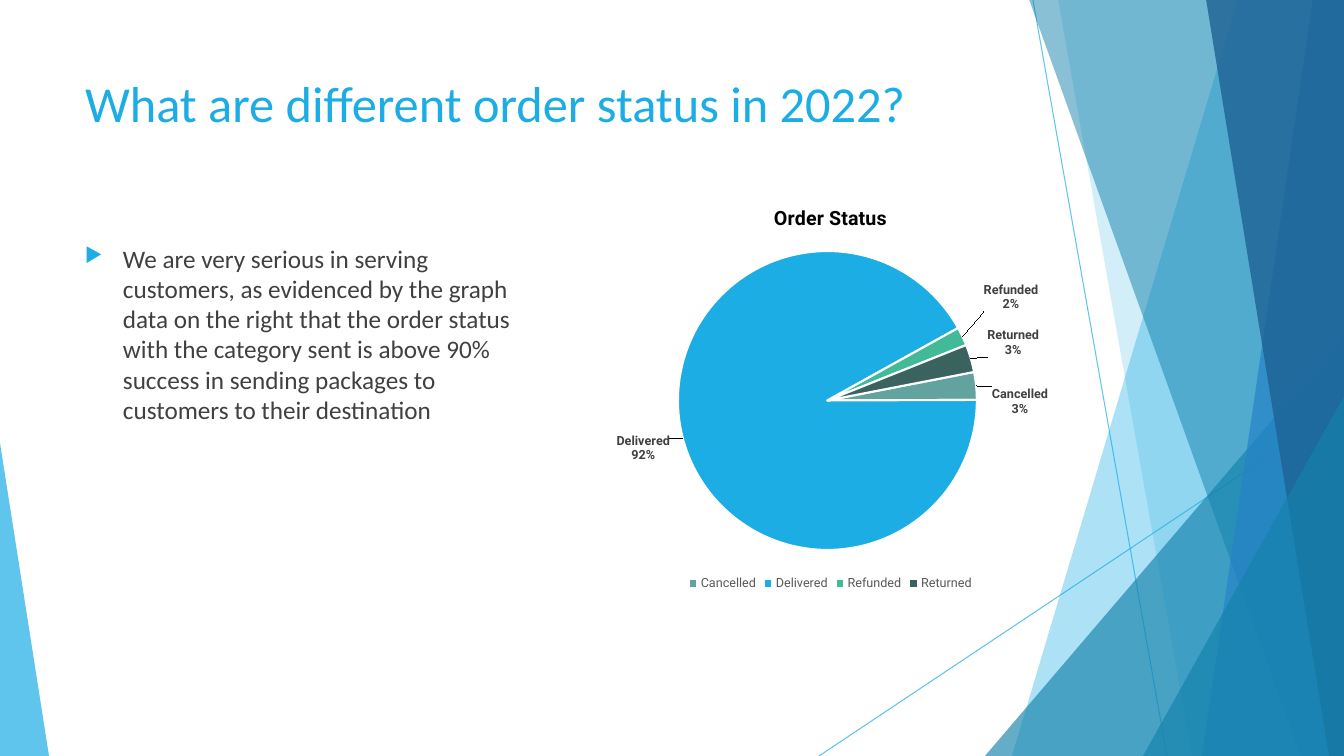
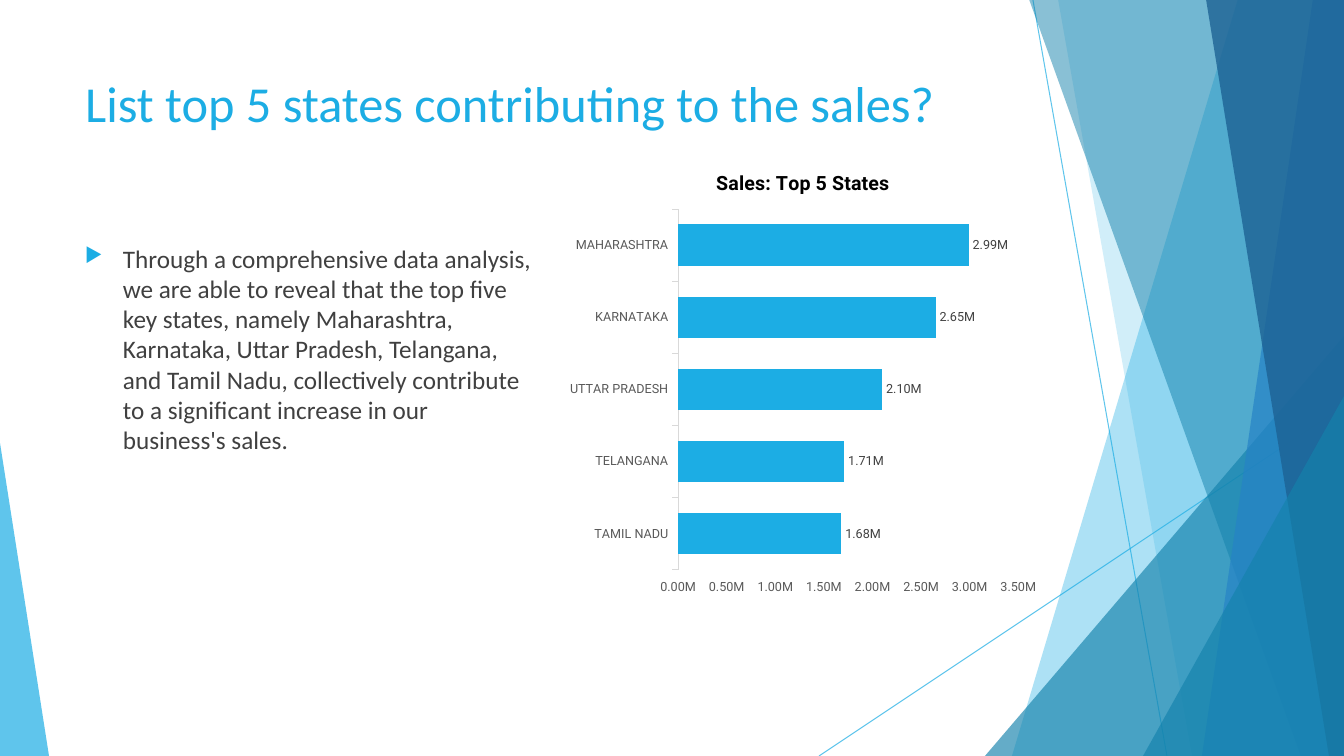
from lxml import etree
from pptx import Presentation
from pptx.chart.data import CategoryChartData
from pptx.dml.color import RGBColor
from pptx.enum.chart import (XL_CHART_TYPE, XL_LABEL_POSITION,
                             XL_LEGEND_POSITION, XL_TICK_MARK)
from pptx.enum.shapes import MSO_CONNECTOR, MSO_SHAPE
from pptx.enum.text import MSO_ANCHOR, PP_ALIGN
from pptx.oxml import parse_xml
from pptx.oxml.ns import nsdecls, qn
from pptx.util import Pt

SCALE = 914400 / 100.8
WIDE, HIGH = 1344, 756
COLORS = {
    "sky": "1CADE4", "teal": "1482AC", "blue": "2683C6", "navy": "1D6294",
    "text": "404040", "grey": "595959", "rule": "D9D9D9", "black": "000000",
    "white": "FFFFFF", "sage": "62A39F", "green": "42BA97", "pine": "3A6360",
}
MILLIONS = '0.00,,"M"'

# Background bands, back to front: top x, bottom x, colour, opacity;
# or a triangle: left, top, width, apex side, colour, opacity
BANDS = [
    (1238, 1012, "sky", 36),
    (1058, 1192, "sky", 20),
    (985, 336, 359, 1, "teal", 66),
    (1029, 1301, "teal", 50),
    (1313, 1202, "blue", 70),
    (1206, 1329, "navy", 80),
    (1143, 396, 201, 1, "teal", 66),
    (0, 443, 49, 0, "sky", 70),
]
RULES = [(1033, 0, 1167, HIGH), (WIDE, 406, 819, HIGH)]

# Status: share, colour, label shift in pixels
STATUS = {
    "Cancelled": (3, "sage", (10, 31)),
    "Delivered": (92, "sky", (-7, -6)),
    "Refunded": (2, "green", (16, -22)),
    "Returned": (3, "pine", (11, 1)),
}
STATES = {
    "TAMIL NADU": 1680000, "TELANGANA": 1710000, "UTTAR PRADESH": 2100000,
    "KARNATAKA": 2650000, "MAHARASHTRA": 2990000,
}


def px(*sizes):
    return [round(size * SCALE) for size in sizes]


def rgb(name):
    return RGBColor.from_string(COLORS[name])


def style(font, size, color, bold=False, face="Roboto"):
    font.name, font.size, font.bold = face, Pt(size), bold
    font.color.rgb = rgb(color)


def fade(shape, percent):
    for color in shape._element.iter(qn("a:srgbClr")):
        etree.SubElement(color, qn("a:alpha")).set("val", str(percent * 1000))


def paint(shape, color, percent):
    shape.shadow.inherit = False
    shape.fill.solid()
    shape.fill.fore_color.rgb = rgb(color)
    shape.line.fill.background()
    fade(shape, percent)


# Shared slide parts
def add_rule(slide, ends):
    rule = slide.shapes.add_connector(MSO_CONNECTOR.STRAIGHT, *px(*ends))
    rule.line.color.rgb = rgb("sky")
    rule.line.width = Pt(0.75)
    fade(rule, 70)
    etree.SubElement(rule._element.spPr, qn("a:effectLst"))


def add_band(slide, top, foot, color, percent):
    pen = slide.shapes.build_freeform(top, -1, SCALE)
    pen.add_line_segments([(WIDE, -1), (WIDE, HIGH), (foot, HIGH)])
    paint(pen.convert_to_shape(), color, percent)


def add_wedge(slide, left, top, width, apex, color, percent):
    wedge = slide.shapes.add_shape(MSO_SHAPE.ISOSCELES_TRIANGLE,
                                   *px(left, top, width, HIGH - top))
    wedge.adjustments[0] = apex
    paint(wedge, color, percent)


def set_title(slide, text):
    title = slide.shapes.title
    title.left, title.top, title.width, title.height = px(75, 67, 948, 145)
    frame = title.text_frame
    frame.text = text
    frame.vertical_anchor = MSO_ANCHOR.TOP
    line = frame.paragraphs[0]
    line.alignment = PP_ALIGN.LEFT
    style(line.runs[0].font, 36, "sky", face="Calibri")


def add_body(slide, text, width):
    box = slide.shapes.add_textbox(*px(75, 238, width, 427))
    frame = box.text_frame
    frame.word_wrap = True
    frame.text = text
    line = frame.paragraphs[0]
    style(line.runs[0].font, 18, "text", face="Calibri")
    props = line._p.get_or_add_pPr()
    indent = px(38)[0]
    props.set("marL", str(indent))
    props.set("indent", str(-indent))
    tint = etree.SubElement(props, qn("a:buClr"))
    etree.SubElement(tint, qn("a:srgbClr")).set("val", COLORS["sky"])
    etree.SubElement(props, qn("a:buSzPct")).set("val", "80000")
    etree.SubElement(props, qn("a:buChar")).set("char", "▶")


def add_page(deck, title, body, width):
    slide = deck.slides.add_slide(deck.slide_layouts[5])
    for ends in RULES:
        add_rule(slide, ends)
    for band in BANDS:
        (add_band if len(band) == 4 else add_wedge)(slide, *band)
    set_title(slide, title)
    add_body(slide, body, width)
    return slide


# Charts
def layout(**marks):
    parts = "".join(f'<c:{key} val="{val}"/>' for key, val in marks.items())
    return parse_xml(f'<c:layout {nsdecls("c")}><c:manualLayout>{parts}'
                     '</c:manualLayout></c:layout>')


def add_graph(slide, kind, title, cats, vals, box, plot):
    data = CategoryChartData()
    data.categories = cats
    data.add_series("Series 1", vals)
    chart = slide.shapes.add_chart(kind, *px(*box), data).chart
    style(chart.font, 10, "black")
    chart.has_title = True
    frame = chart.chart_title.text_frame
    frame.text = title
    style(frame.paragraphs[0].runs[0].font, 14, "black", True)
    chart.has_legend = False
    # Fix the plot area inside the chart box
    area = chart._chartSpace.chart.plotArea
    for old in area.findall(qn("c:layout")):
        area.remove(old)
    left, top, width, height = box
    area.insert(0, layout(
        layoutTarget="inner", xMode="edge", yMode="edge",
        x=round((plot[0] - left) / width, 3),
        y=round((plot[1] - top) / height, 3),
        w=round(plot[2] / width, 3), h=round(plot[3] / height, 3)))
    return chart


def add_pie(slide):
    box = (595, 187, 471, 408)
    chart = add_graph(slide, XL_CHART_TYPE.PIE, "Order Status", list(STATUS),
                      [row[0] for row in STATUS.values()], box,
                      (678, 251, 299, 299))
    chart.has_legend = True
    chart.legend.position = XL_LEGEND_POSITION.BOTTOM
    chart.legend.include_in_layout = False
    style(chart.legend.font, 9, "grey")
    plot = chart.plots[0]
    plot.vary_by_categories = True
    pie = plot._element
    for old in pie.findall(qn("c:firstSliceAng")):
        pie.remove(old)
    etree.SubElement(pie, qn("c:firstSliceAng")).set("val", "79")
    series = plot.series[0]
    for i, (share, color, shift) in enumerate(STATUS.values()):
        point = series.points[i]
        point.format.fill.solid()
        point.format.fill.fore_color.rgb = rgb(color)
        point.format.line.color.rgb = rgb("white")
        point.format.line.width = Pt(1.5)
        label = point.data_label
        style(label.font, 9, "text", True)
        label.position = XL_LABEL_POSITION.OUTSIDE_END
        # Show name over percent, moved clear of its neighbours
        node = series._element.find(qn("c:dLbls")).findall(qn("c:dLbl"))[i]
        for key, flag in (("Val", 0), ("CatName", 1), ("Percent", 1)):
            node.find(qn("c:show" + key)).set("val", str(flag))
        etree.SubElement(node, qn("c:separator")).text = "\n"
        node.insert(1, layout(x=round(shift[0] / box[2], 3),
                              y=round(shift[1] / box[3], 3)))
    labels = series._element.find(qn("c:dLbls"))
    lead = labels.find(qn("c:showLeaderLines"))
    if lead is None:
        lead = etree.SubElement(labels, qn("c:showLeaderLines"))
    lead.set("val", "1")


def add_bars(slide):
    chart = add_graph(slide, XL_CHART_TYPE.BAR_CLUSTERED, "Sales: Top 5 States",
                      list(STATES), list(STATES.values()),
                      (560, 151, 486, 454), (678, 209, 340, 361))
    plot = chart.plots[0]
    plot.vary_by_categories = False
    plot.gap_width = 75
    fill = plot.series[0].format.fill
    fill.solid()
    fill.fore_color.rgb = rgb("sky")
    labels = plot.series[0].data_labels
    labels.show_value = True
    labels.position = XL_LABEL_POSITION.OUTSIDE_END
    labels.number_format, labels.number_format_is_linked = MILLIONS, False
    style(labels.font, 9, "text")
    cats, vals = chart.category_axis, chart.value_axis
    for axis in (cats, vals):
        style(axis.tick_labels.font, 9, "grey")
        axis.has_major_gridlines = False
        axis.major_tick_mark = XL_TICK_MARK.OUTSIDE
    cats.format.line.color.rgb = rgb("rule")
    cats.format.line.width = Pt(0.75)
    vals.format.line.fill.background()
    vals.minimum_scale, vals.maximum_scale = 0, 3500000
    vals.major_unit = 500000
    ticks = vals.tick_labels
    ticks.number_format, ticks.number_format_is_linked = MILLIONS, False


def main():
    deck = Presentation()
    deck.slide_width, deck.slide_height = px(WIDE, HIGH)
    add_pie(add_page(
        deck, "What are different order status in 2022?",
        "We are very serious in serving customers, as evidenced by the graph "
        "data on the right that the order status with the category sent is "
        "above 90% success in sending packages to customers to their "
        "destination", 471))
    add_bars(add_page(
        deck, "List top 5 states contributing to the sales?",
        "Through a comprehensive data analysis, we are able to reveal that "
        "the top five key states, namely Maharashtra, Karnataka, Uttar "
        "Pradesh, Telangana, and Tamil Nadu, collectively contribute to a "
        "significant increase in our business's sales.", 467))
    deck.save("out.pptx")


main()
